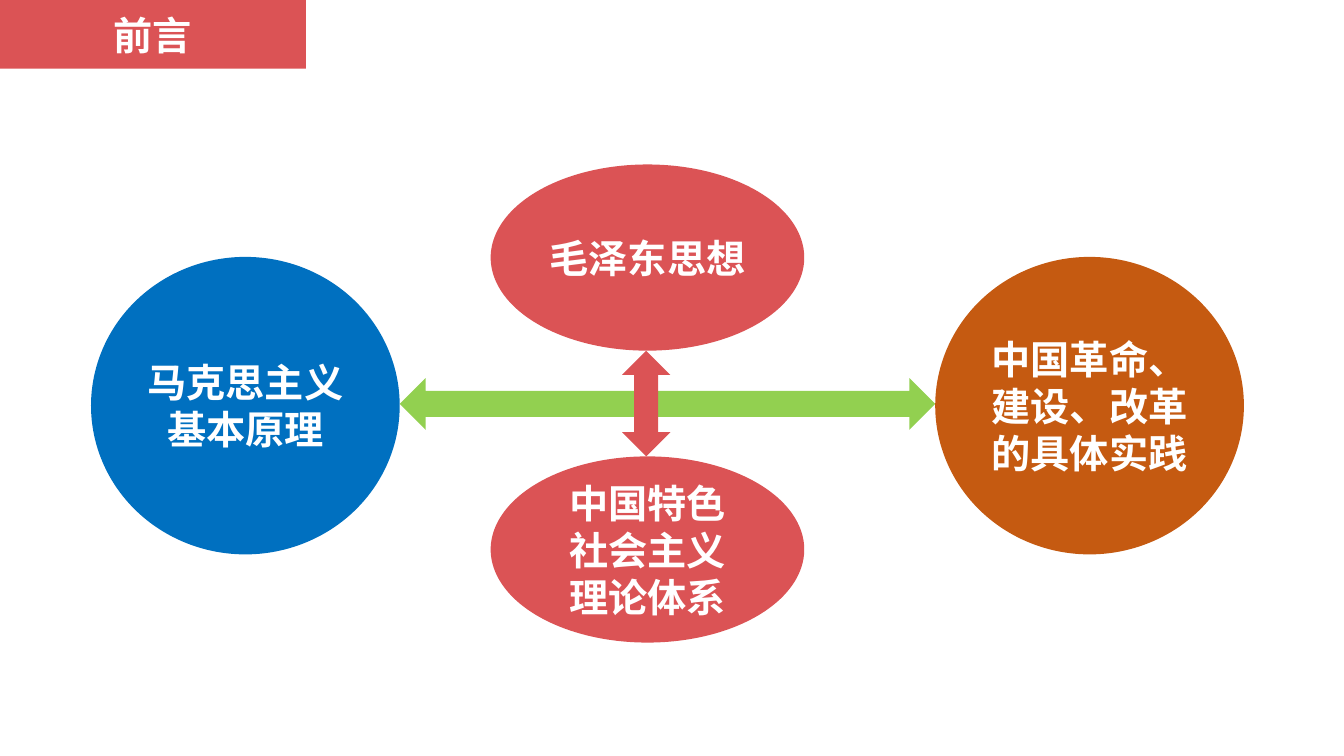
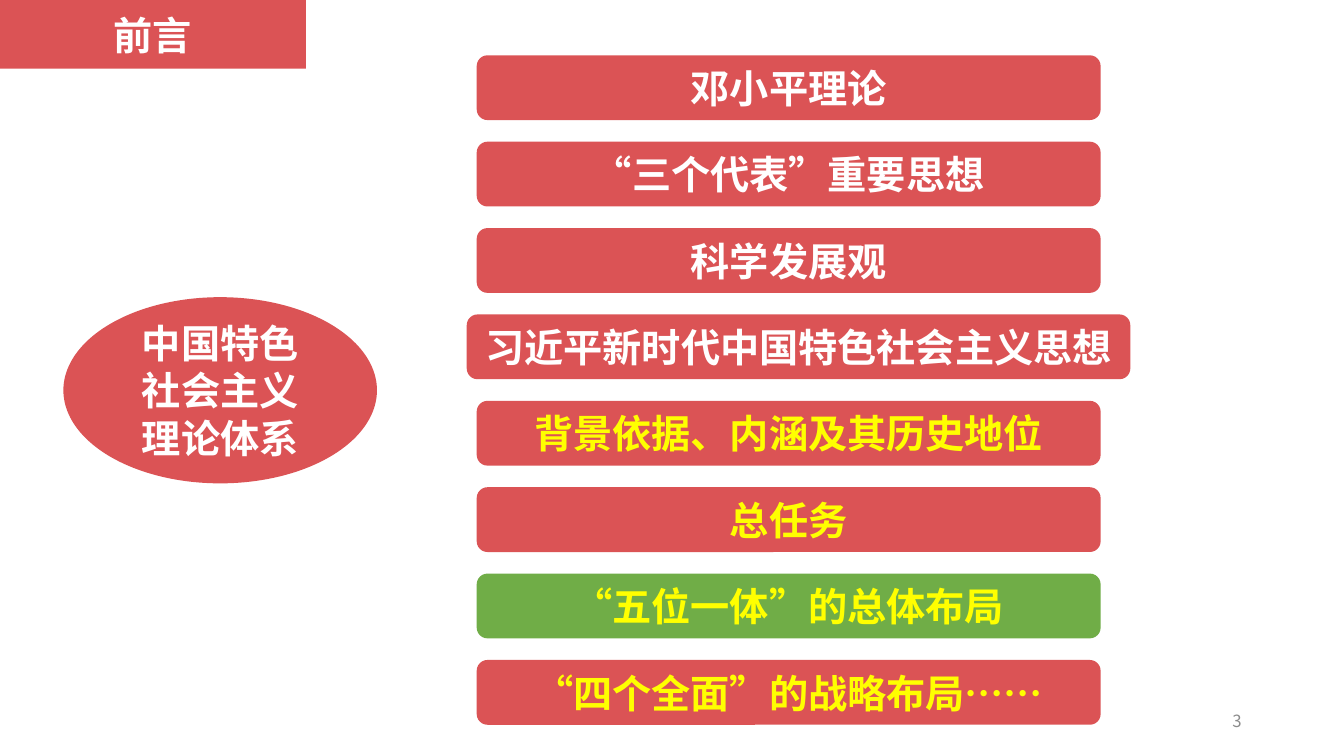
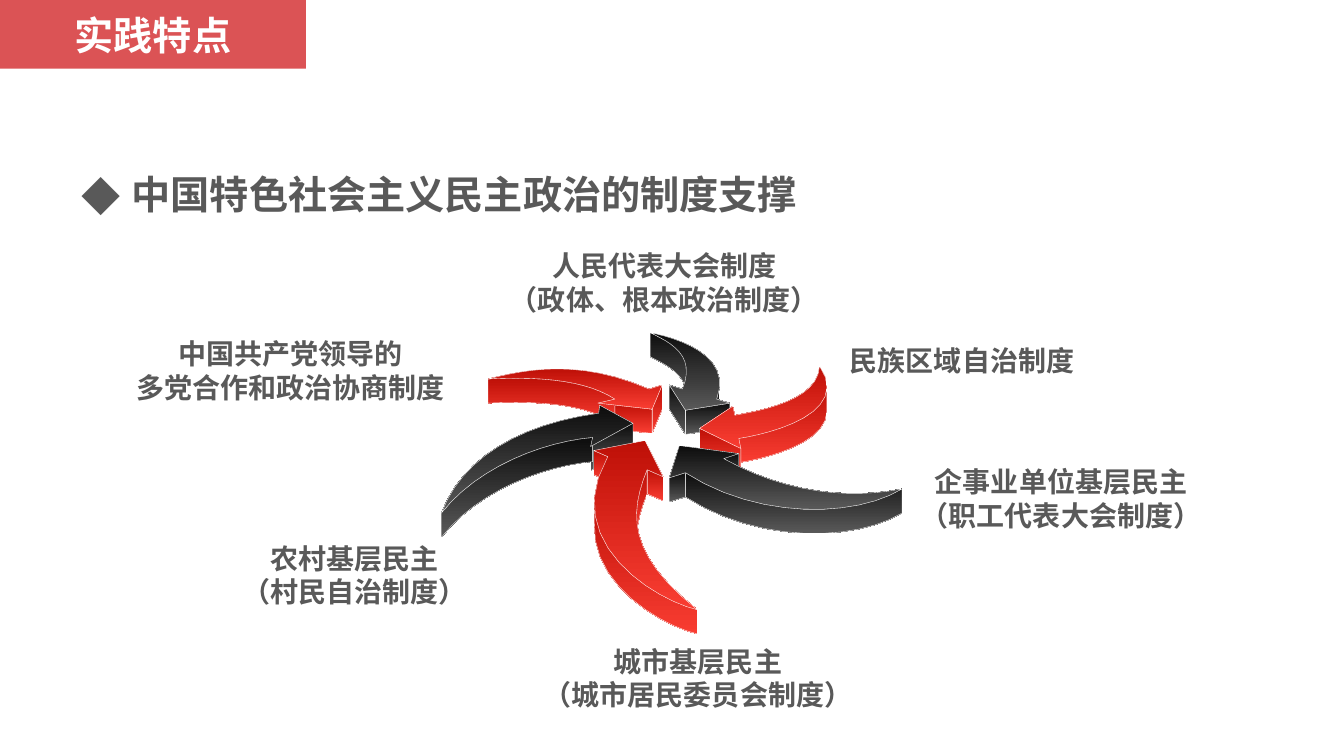
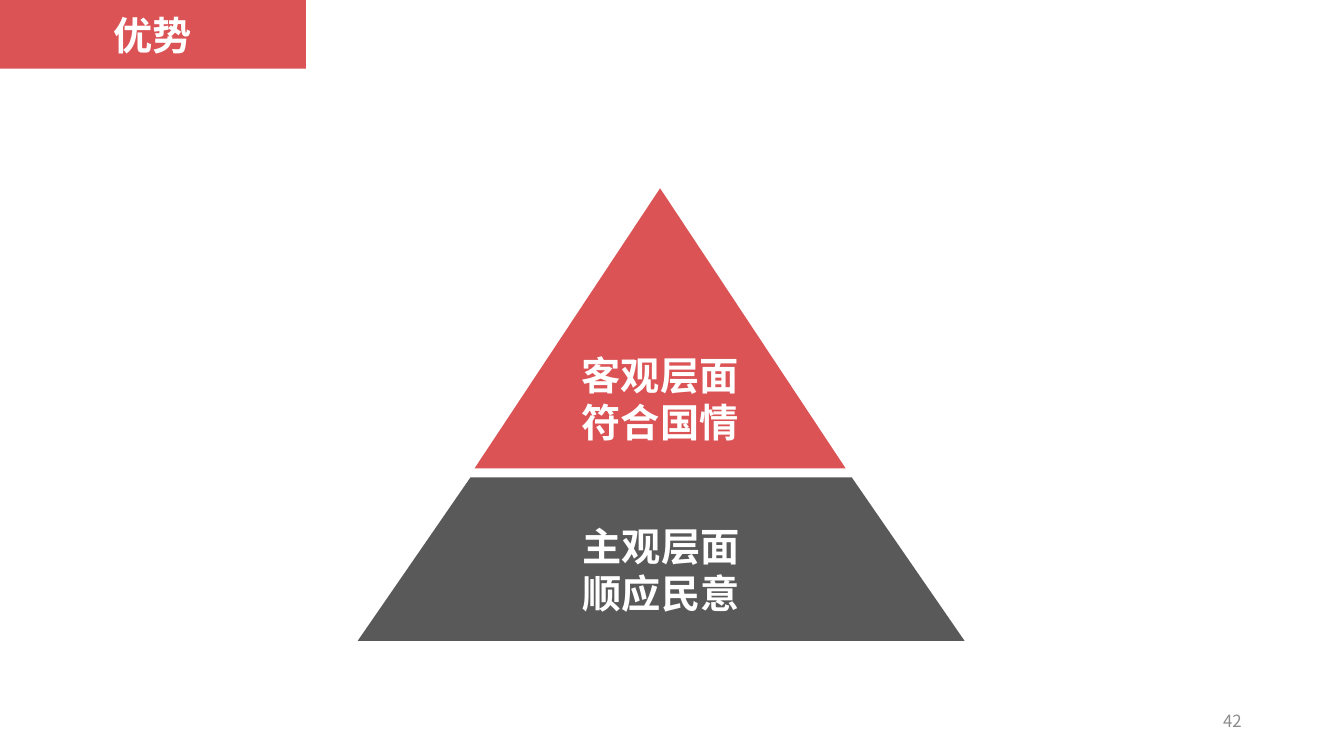
from itertools import groupby
from lxml.etree import SubElement
from pptx import Presentation
from pptx.dml.color import RGBColor
from pptx.enum.shapes import MSO_SHAPE as Shape
from pptx.enum.text import MSO_ANCHOR as Anchor, PP_ALIGN as Align
from pptx.oxml.ns import qn
from pptx.util import Pt

# Shared style
FONT = "Noto Sans CJK SC"
RED, GREY, WHITE, YELLOW = "DB5355", "595959", "FFFFFF", "FFFF00"
BLUE, ORANGE, LIME, GREEN, PALE = "0070C0", "C55A11", "92D050", "70AD47", "8C8C8C"
GLOSSY_RED, GLOSSY_BLACK = ("BE1007", "F93D32"), ("0D0D0D", "595959")
SYSTEM = ["中国特色", "社会主义", "理论体系"]
ELLIPSE = (224, 133)
CIRCLE = (220.5, 212.5)

# Slide 1: top or left edge, colour, lines
MIDDLE_ELLIPSES = [(117.5, ["毛泽东思想"]), (326, SYSTEM)]
SIDE_CIRCLES = [
    (65, BLUE, ["马克思主义基本原理"]),
    (668, ORANGE, ["中国革命、建设、改革的具体实践"]),
]

# Slide 2: text, fill, text colour
THEORIES = [
    ("邓小平理论", RED, WHITE),
    ("“三个代表”重要思想", RED, WHITE),
    ("科学发展观", RED, WHITE),
    ("习近平新时代中国特色社会主义思想", RED, WHITE),
    ("背景依据、内涵及其历史地位", RED, YELLOW),
    ("总任务", RED, YELLOW),
    ("“五位一体”的总体布局", GREEN, YELLOW),
    ("“四个全面”的战略布局……", RED, YELLOW),
]
WIDE_THEORY = 3
BAR_TOP, BAR_STEP, BAR_HEIGHT = 39.5, 61.7, 46.3
BAR_SPAN, WIDE_SPAN = (340.5, 445.7), (333.4, 474)

# Slide 3: label centre, top, lines
SUPPORTS = [
    (207.6, 237, ["中国共产党领导的", "多党合作和政治协商制度"]),
    (687.2, 242, ["民族区域自治制度"]),
    (758, 328.5, ["企事业单位基层民主", "（职工代表大会制度）"]),
    (474.5, 174.2, ["人民代表大会制度", "（政体、根本政治制度）"]),
    (253.2, 383, ["农村基层民主", "（村民自治制度）"]),
    (498.6, 456.5, ["城市基层民主", "（城市居民委员会制度）"]),
]

# Top faces of the curved arrows, clockwise, on a grid of GRID points:
# tail, two bends, neck, barb, tip, barb, neck, two bends back to the tail
GRID, DEPTH, CURVE_STEPS = 0.72, 24, 12
ARROWS = [
    (GLOSSY_RED, [(484, 376), (525, 366), (574, 356), (644, 386), (657, 382),
                  (647, 406), (593, 400), (610, 396), (584, 379), (543, 373)]),
    (GLOSSY_BLACK, [(438, 509), (458, 455), (515, 421), (594, 410), (595, 402),
                    (628, 420), (586, 443), (588, 434), (541, 438), (475, 462)]),
    (GLOSSY_RED, [(692, 605), (652, 596), (554, 539), (603, 453), (589, 447),
                  (640, 437), (658, 473), (642, 466), (625, 508), (621, 549)]),
    (GLOSSY_BLACK, [(645, 330), (669, 335), (728, 351), (711, 396), (724, 400),
                    (680, 407), (664, 382), (677, 386), (691, 352), (665, 340)]),
    (GLOSSY_RED, [(813, 363), (845, 410), (765, 430), (733, 435), (735, 445),
                  (694, 425), (727, 403), (729, 412), (756, 407), (812, 397)]),
    (GLOSSY_BLACK, [(895, 485), (849, 513), (753, 516), (680, 469), (664, 474),
                    (674, 442), (733, 450), (718, 455), (781, 490), (844, 495)]),
]


def color(value):
    return RGBColor.from_string(value)


def write(box, lines, size=28, ink=WHITE, bold=True, align=Align.CENTER,
          anchor=Anchor.MIDDLE, spacing=None, bullet=None, indent=36):
    frame = box.text_frame
    frame.word_wrap = True
    frame.vertical_anchor = anchor
    for number, line in enumerate(lines):
        para = frame.add_paragraph() if number else frame.paragraphs[0]
        para.alignment = align
        if spacing:
            para.line_spacing = spacing
        if bullet:
            props = para._p.get_or_add_pPr()
            props.set("marL", str(Pt(indent)))
            props.set("indent", str(Pt(-indent)))
            SubElement(props, qn("a:buFont"), typeface=FONT)
            SubElement(props, qn("a:buChar"), char=bullet)
        span = para.add_run()
        span.text = line
        span.font.size, span.font.bold = Pt(size), bold
        span.font.color.rgb = color(ink)
        span.font.name = FONT
        SubElement(span._r.get_or_add_rPr(), qn("a:ea"), typeface=FONT)


def add_shape(page, kind, left, top, width, height, fill, lines=(), **style):
    box = page.shapes.add_shape(kind, Pt(left), Pt(top), Pt(width), Pt(height))
    box.shadow.inherit = False
    box.fill.solid()
    box.fill.fore_color.rgb = color(fill)
    box.line.fill.background()
    write(box, lines, **style)
    return box


def add_text(page, left, top, width, height, lines, **style):
    box = page.shapes.add_textbox(Pt(left), Pt(top), Pt(width), Pt(height))
    write(box, lines, **style)


def add_page(deck, title, number=None):
    page = deck.slides.add_slide(deck.slide_layouts[6])
    add_shape(page, Shape.RECTANGLE, 0, 0, 218.5, 49, RED, [title])
    if number:
        add_text(page, 678, 500.5, 216, 28.8, [number], size=12, ink=PALE,
                 bold=False, align=Align.RIGHT)
    return page


def curve(*controls):
    """Points along a cubic Bézier curve."""
    points = []
    for i in range(CURVE_STEPS + 1):
        t = i / CURVE_STEPS
        u = 1 - t
        points.append(tuple(
            u**3 * a + 3 * u * u * t * b + 3 * u * t * t * c + t**3 * d
            for a, b, c, d in zip(*controls)))
    return points


def add_face(page, points, gradient):
    points = [(Pt(x * GRID), Pt(y * GRID)) for x, y in points]
    builder = page.shapes.build_freeform(*points[0])
    builder.add_line_segments(points[1:], close=True)
    face = builder.convert_to_shape()
    face.shadow.inherit = False
    face.fill.gradient()
    face.fill.gradient_angle = 270
    for stop, value in zip(face.fill.gradient_stops, gradient):
        stop.color.rgb = color(value)
    face.line.color.rgb = color(WHITE)
    face.line.width = Pt(0.25)


def runs_left(step):
    (start, _), (end, _) = step
    return end < start


def add_curved_arrow(page, gradient, corners):
    head = corners[3:8]
    edges = [curve(*corners[:4]), *zip(head, head[1:]),
             curve(*corners[7:], corners[0])]
    # Walls hang from the edges that run left, which face the viewer
    for edge in edges:
        for visible, steps in groupby(zip(edge, edge[1:]), runs_left):
            if visible:
                steps = list(steps)
                rim = [steps[0][0]] + [end for _, end in steps]
                foot = [(x, y + DEPTH) for x, y in reversed(rim)]
                add_face(page, rim + foot, gradient)
    add_face(page, [point for edge in edges for point in edge[:-1]], gradient)


def build_foundations(deck):
    page = add_page(deck, "前言")
    add_shape(page, Shape.LEFT_RIGHT_ARROW, 285.5, 270, 382.5, 37, LIME)
    for top, lines in MIDDLE_ELLIPSES:
        add_shape(page, Shape.OVAL, 350.5, top, *ELLIPSE, RED, lines)
    add_shape(page, Shape.UP_DOWN_ARROW, 444.3, 250.5, 34.5, 75.5, RED)
    for left, fill, lines in SIDE_CIRCLES:
        add_shape(page, Shape.OVAL, left, 183.5, *CIRCLE, fill, lines)


def build_theories(deck):
    page = add_page(deck, "前言", "3")
    add_shape(page, Shape.OVAL, 45.3, 212.3, *ELLIPSE, RED, SYSTEM)
    for row, (text, fill, ink) in enumerate(THEORIES):
        left, width = WIDE_SPAN if row == WIDE_THEORY else BAR_SPAN
        add_shape(page, Shape.ROUNDED_RECTANGLE, left, BAR_TOP + row * BAR_STEP,
                  width, BAR_HEIGHT, fill, [text], ink=ink)


def build_supports(deck):
    page = add_page(deck, "实践特点")
    add_text(page, 51, 101.5, 857, 58.3, ["中国特色社会主义民主政治的制度支撑"],
             ink=GREY, align=Align.LEFT, anchor=Anchor.TOP, spacing=1.5, bullet="◆")
    for gradient, corners in ARROWS:
        add_curved_arrow(page, gradient, corners)
    size = 20
    for center, top, lines in SUPPORTS:
        width = size * max(map(len, lines)) + 24
        add_text(page, center - width / 2, top, width, 7.7 + 24 * len(lines),
                 lines, size=size, ink=GREY, anchor=Anchor.TOP)


def build_advantages(deck):
    page = add_page(deck, "优势", "42")
    add_shape(page, Shape.ISOSCELES_TRIANGLE, 339, 134.5, 265, 200, RED,
              ["客观层面符合国情"])
    base = add_shape(page, Shape.TRAPEZOID, 255.5, 341, 433.5, 116.8, GREY,
                     ["主观层面", "顺应民意"])
    base.adjustments[0] = 0.69


def main():
    deck = Presentation()
    deck.slide_width, deck.slide_height = Pt(960), Pt(540)
    for build in (build_foundations, build_theories, build_supports, build_advantages):
        build(deck)
    deck.save("out.pptx")


if __name__ == "__main__":
    main()
